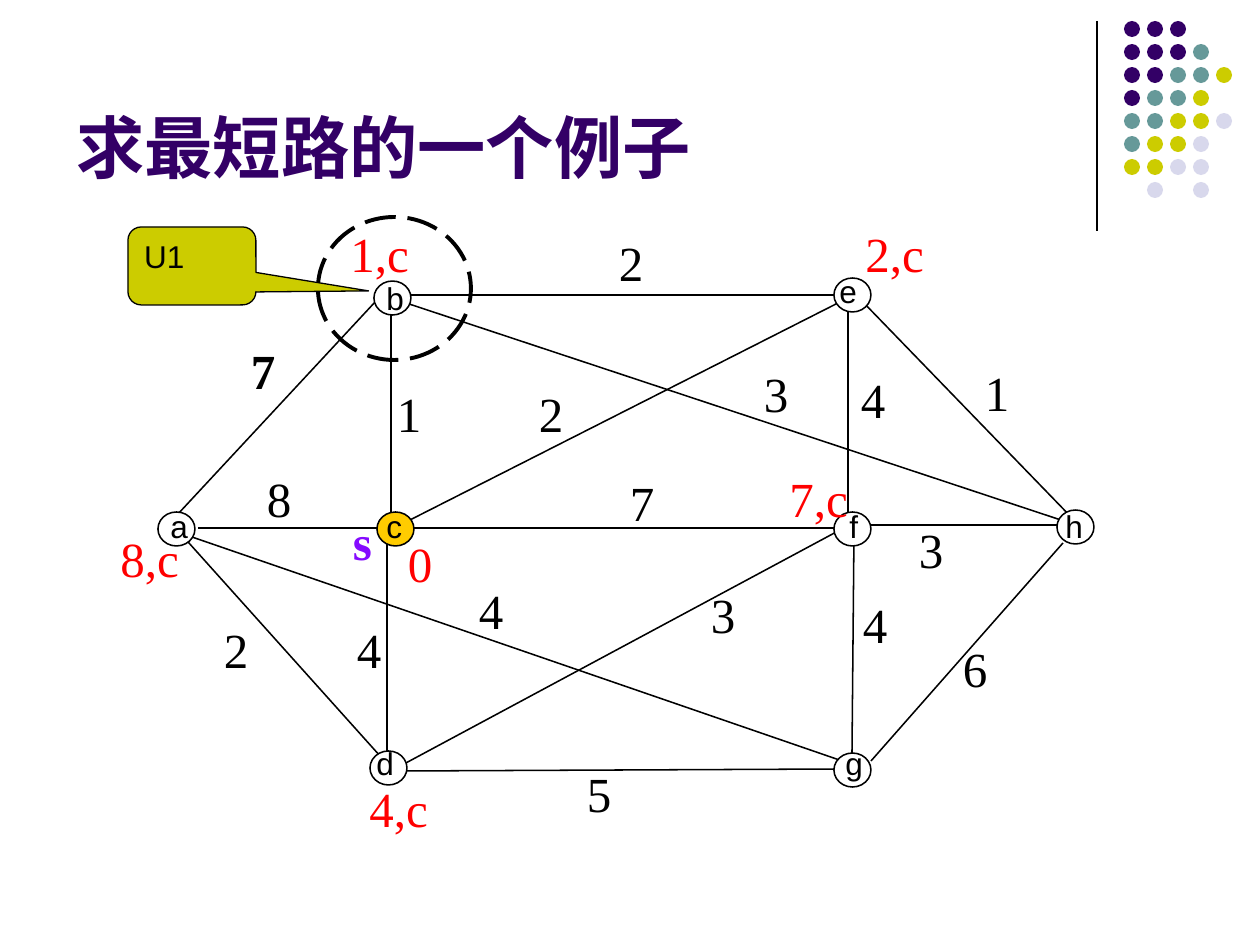
from pptx import Presentation, util as u
from pptx.dml.color import RGBColor
from pptx.enum import dml, shapes, text
from pptx.oxml.ns import qn
from lxml import etree

THEME = {
    "black": "000000", "white": "FFFFFF", "purple": "330066", "teal": "669999",
    "olive": "CCCC00", "lilac": "D8D8EC", "red": "FF0000", "violet": "850AFF",
    "gold": "FFCC00",
    "sans": "Arial", "serif": "Times New Roman",
    "title_pt": 39, "label_pt": 28, "letter_pt": 18,
    "thin": 0.75, "edge": 0.88, "strong": 1.5, "dash": 2.25,
}

# Content, lengths in px
TITLE = "求最短路的一个例子"
DOT_ROWS = ["PPP", "PPPT", "PPTTO", "PTTO", "TTOOL", "TOOL", "OOLL", " L L"]
DOT_COLOURS = {"P": "purple", "T": "teal", "O": "olive", "L": "lilac"}
DOT_LEFT, DOT_TOP, DOT_PITCH, DOT_SIZE = 1124, 21, 23, 16

# from, to, weight, place of the weight
EDGES = [
    ((404, 295), (838, 295), "2", (619, 233)),
    ((404, 771), (838, 769), "5", (587, 764)),
    ((377, 300), (178, 514), "7", (251, 341)),
    ((180, 533), (381, 757), "2", (224, 620)),
    ((1063, 543), (871, 761), "6", (963, 639)),
    ((198, 528), (384, 528), "8", (267, 469)),
    ((407, 528), (834, 528), "7", (630, 473)),
    ((864, 525), (1057, 525), "3", (919, 520)),
    ((391, 305), (391, 518), "1", (397, 384)),
    ((387, 538), (387, 771), "4", (357, 620)),
    ((848, 312), (848, 512), "4", (861, 370)),
    ((854, 536), (852, 753), "4", (863, 595)),
    ((397, 300), (1070, 523), "3", (764, 364)),
    ((840, 302), (404, 523), "2", (539, 384)),
    ((840, 530), (404, 764), "3", (711, 585)),
    ((861, 300), (1074, 520), "1", (985, 363)),
    ((192, 537), (851, 764), "4", (479, 581)),
]
BOLD_WEIGHT, STRONG_EDGE = 2, 8  # indexes in EDGES

# letter: place of the circle, place of the letter
NODES = {
    "b": ((374, 281), (374, 273)), "a": ((158, 512), (158, 501)),
    "c": ((377, 512), (374, 501)), "d": ((370, 751), (364, 738)),
    "e": ((834, 278), (827, 266)), "f": ((834, 512), (837, 501)),
    "g": ((834, 753), (833, 738)), "h": ((1057, 510), (1053, 501)),
}
SOURCE_NODE = "c"
DISTANCES = [("1,c", 338, 217), ("2,c", 853, 217), ("8,c", 108, 522),
             ("7,c", 777, 462), ("4,c", 357, 772)]


def px(n):
    return u.Emu(round(n * 914400 / 126))


def rgb(name):
    return RGBColor.from_string(THEME[name])


prs = Presentation()
prs.slide_width, prs.slide_height = px(1260), px(945)
slide = prs.slides.add_slide(prs.slide_layouts[6])


def write(holder, words, font, size, colour, bold=False, anchor="TOP", inset=True):
    frame = holder.text_frame
    frame.word_wrap = True
    frame.vertical_anchor = text.MSO_ANCHOR[anchor]
    if not inset:
        frame.margin_left = frame.margin_right = 0
        frame.margin_top = frame.margin_bottom = 0
    frame.text = words
    paragraph = frame.paragraphs[0]
    paragraph.alignment = text.PP_ALIGN.LEFT
    run_font = paragraph.runs[0].font
    run_font.name, run_font.size, run_font.bold = THEME[font], u.Pt(THEME[size]), bold
    run_font.color.rgb = rgb(colour)


def add_text(box, *args, **kwargs):
    write(slide.shapes.add_textbox(*map(px, box)), *args, **kwargs)


def add_line(start, end, width):
    line = slide.shapes.add_connector(
        shapes.MSO_CONNECTOR.STRAIGHT, *map(px, (*start, *end)))
    line.line.color.rgb = rgb("black")
    line.line.width = u.Pt(THEME[width])
    etree.SubElement(line._element.spPr, qn("a:effectLst"))


def add_shape(kind, box, fill=None, width=None):
    shape = slide.shapes.add_shape(shapes.MSO_SHAPE[kind], *map(px, box))
    shape.shadow.inherit = False
    if fill:
        shape.fill.solid()
        shape.fill.fore_color.rgb = rgb(fill)
    else:
        shape.fill.background()
    if width:
        shape.line.color.rgb = rgb("black")
        shape.line.width = u.Pt(THEME[width])
    else:
        shape.line.fill.background()
    return shape


# Corner ornament
add_line((1097, 21), (1097, 231), "thin")
for row, codes in enumerate(DOT_ROWS):
    for column, code in enumerate(codes):
        if code in DOT_COLOURS:
            add_shape("OVAL", (DOT_LEFT + column * DOT_PITCH, DOT_TOP + row * DOT_PITCH,
                               DOT_SIZE, DOT_SIZE), DOT_COLOURS[code])

# Title
add_text((64, 35, 1071, 158), TITLE, "sans", "title_pt", "purple", bold=True,
         anchor="BOTTOM")

# Edges, then their weights
for i, (start, end, _, _) in enumerate(EDGES):
    add_line(start, end, "strong" if i == STRONG_EDGE else "edge")
for i, (_, _, weight, place) in enumerate(EDGES):
    add_text((*place, 26, 59), weight, "serif", "label_pt", "black",
             bold=i == BOLD_WEIGHT, inset=False)

# Source marks
add_text((353, 512, 20, 59), "s", "serif", "label_pt", "violet", bold=True, inset=False)
add_text((408, 534, 78, 59), "0", "serif", "label_pt", "red", inset=False)

# Node circles and distances
for letter, (place, _) in NODES.items():
    add_shape("OVAL", (*place, 37, 34),
              "gold" if letter == SOURCE_NODE else "white", "edge")
for label, left, top in DISTANCES:
    add_text((left, top, 94, 72), label, "serif", "label_pt", "red")

# Chosen set U1
ring = add_shape("OVAL", (318, 217, 153, 143), width="dash")
ring.line.dash_style = dml.MSO_LINE.LONG_DASH
callout = add_shape("ROUNDED_RECTANGULAR_CALLOUT", (128, 227, 128, 78), "olive", "thin")
for i, value in enumerate((1.38, 0.32, 0.17)):
    callout.adjustments[i] = value
write(callout, "U1", "sans", "letter_pt", "black")

# Node letters
for letter, (_, place) in NODES.items():
    add_text((*place, 43, 50), letter, "sans", "letter_pt", "black")

prs.save("out.pptx")
